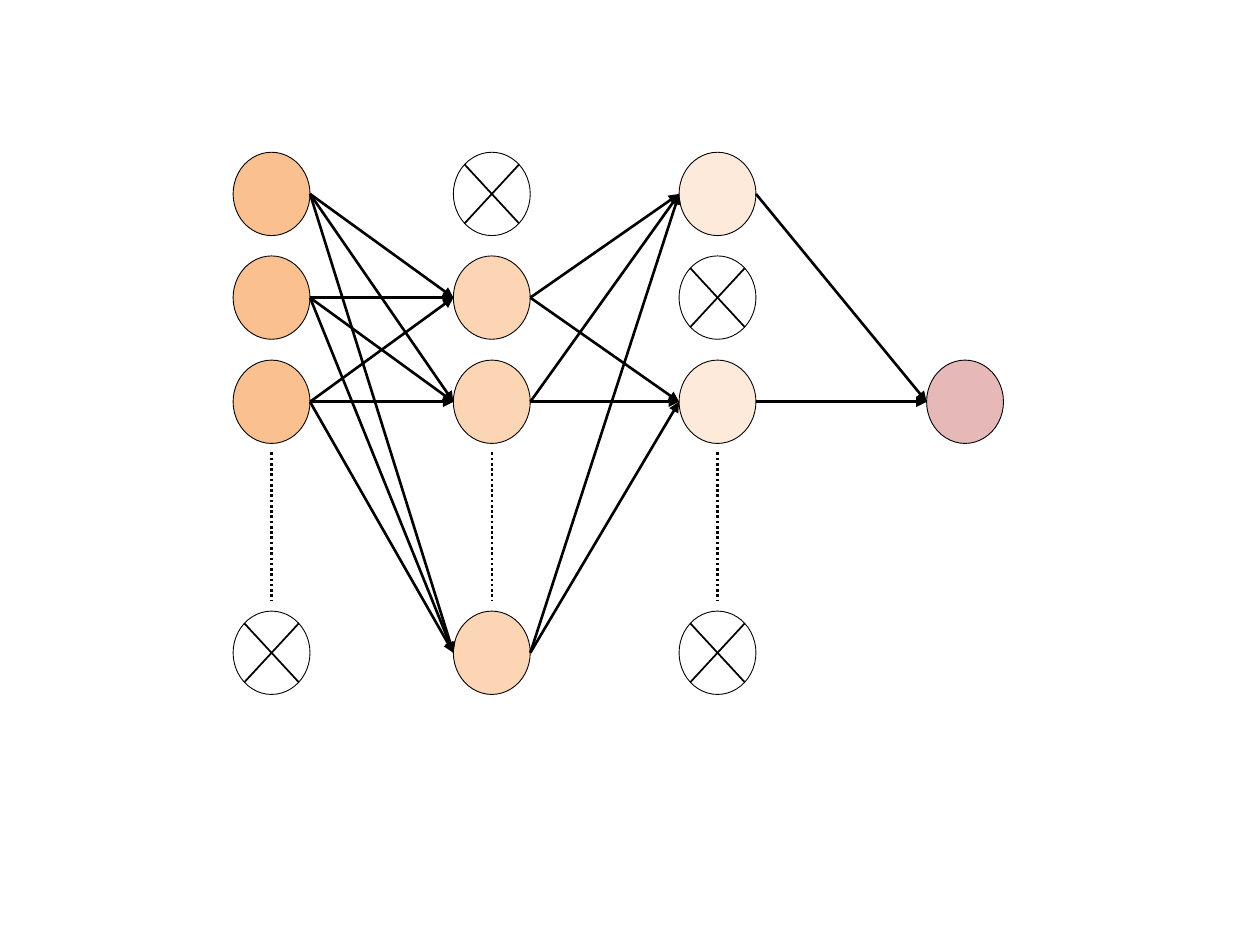
from itertools import pairwise, product

from lxml.etree import SubElement
from pptx import Presentation
from pptx.dml.color import RGBColor
from pptx.enum.dml import MSO_LINE
from pptx.enum.shapes import MSO_CONNECTOR, MSO_SHAPE
from pptx.oxml.ns import qn
from pptx.util import Cm, Pt

BLACK = RGBColor(0x00, 0x00, 0x00)
INPUT_ORANGE = RGBColor(0xFA, 0xC0, 0x90)
FIRST_HIDDEN_ORANGE = RGBColor(0xFC, 0xD5, 0xB5)
SECOND_HIDDEN_ORANGE = RGBColor(0xFD, 0xEA, 0xDA)
OUTPUT_ROSE = RGBColor(0xE6, 0xB9, 0xB8)

NEURON_WIDTH, NEURON_HEIGHT = 1.55, 1.68
ROW_TOPS = [0, 2.09, 4.19, 9.25]
ELLIPSIS_TOP, ELLIPSIS_BOTTOM = 6.05, 9.05
CROSS_INSET = (1 - 0.5 ** 0.5) / 2

OUTLINE = {"width": Pt(0.5)}
CROSS = {"width": Pt(1)}
ELLIPSIS = {"width": Pt(1.5), "dash_style": MSO_LINE.ROUND_DOT}
SYNAPSE = {"width": Pt(1.5)}

LAYERS = [
    {"left": 0, "color": INPUT_ORANGE, "rows": [0, 1, 2, 3], "dropped": [3]},
    {"left": 4.44, "color": FIRST_HIDDEN_ORANGE, "rows": [0, 1, 2, 3], "dropped": [0]},
    {"left": 8.99, "color": SECOND_HIDDEN_ORANGE, "rows": [0, 1, 2, 3], "dropped": [1, 3]},
    {"left": 13.98, "color": OUTPUT_ROSE, "rows": [2], "dropped": []},
]


def format_line(line, line_format):
    """Apply a black colour and the given format values to a line."""
    line.color.rgb = BLACK
    for attribute, value in line_format.items():
        setattr(line, attribute, value)


def add_stroke(slide, start, end, line_format, arrow=False):
    """Draw a straight stroke between two points in centimetres."""
    stroke = slide.shapes.add_connector(
        MSO_CONNECTOR.STRAIGHT, *(Cm(length) for length in (*start, *end))
    )
    format_line(stroke.line, line_format)
    properties = stroke.element.spPr
    if arrow:
        SubElement(properties.find(qn("a:ln")), qn("a:tailEnd"), type="triangle")
    SubElement(properties, qn("a:effectLst"))


def add_neuron(slide, left, top, color=None):
    """Draw a neuron, crossed out and unfilled when it has no colour."""
    neuron = slide.shapes.add_shape(
        MSO_SHAPE.OVAL, Cm(left), Cm(top), Cm(NEURON_WIDTH), Cm(NEURON_HEIGHT)
    )
    neuron.shadow.inherit = False
    format_line(neuron.line, OUTLINE)
    if color is not None:
        neuron.fill.solid()
        neuron.fill.fore_color.rgb = color
        return
    neuron.fill.background()
    x_inset, y_inset = NEURON_WIDTH * CROSS_INSET, NEURON_HEIGHT * CROSS_INSET
    west, east = left + x_inset, left + NEURON_WIDTH - x_inset
    north, south = top + y_inset, top + NEURON_HEIGHT - y_inset
    add_stroke(slide, (west, north), (east, south), CROSS)
    add_stroke(slide, (west, south), (east, north), CROSS)


def add_layer(slide, left, top, layer):
    """Draw one column of neurons, with dots where rows are left out."""
    for row in layer["rows"]:
        color = None if row in layer["dropped"] else layer["color"]
        add_neuron(slide, left, top + ROW_TOPS[row], color)
    if len(layer["rows"]) > 1:
        center = left + NEURON_WIDTH / 2
        add_stroke(slide, (center, top + ELLIPSIS_TOP), (center, top + ELLIPSIS_BOTTOM), ELLIPSIS)


def active_middles(layer, top):
    """Return the vertical middles of the neurons kept in a layer."""
    return [
        top + ROW_TOPS[row] + NEURON_HEIGHT / 2
        for row in layer["rows"]
        if row not in layer["dropped"]
    ]


def add_synapses(slide, left, top, source, target):
    """Link every kept neuron of one layer to every kept neuron of the next."""
    start_x = left + source["left"] + NEURON_WIDTH
    end_x = left + target["left"]
    for start_y, end_y in product(active_middles(source, top), active_middles(target, top)):
        add_stroke(slide, (start_x, start_y), (end_x, end_y), SYNAPSE, arrow=True)


def add_dropout_network(slide, left, top):
    """Draw the whole network with its top left corner at the given point."""
    for layer in LAYERS:
        add_layer(slide, left + layer["left"], top, layer)
    for source, target in pairwise(LAYERS):
        add_synapses(slide, left, top, source, target)


def main():
    """Build the slide and save it."""
    presentation = Presentation()
    presentation.slide_width, presentation.slide_height = Cm(25.4), Cm(19.05)
    slide = presentation.slides.add_slide(presentation.slide_layouts[6])
    add_dropout_network(slide, 4.7, 3.07)
    presentation.save("out.pptx")


if __name__ == "__main__":
    main()
